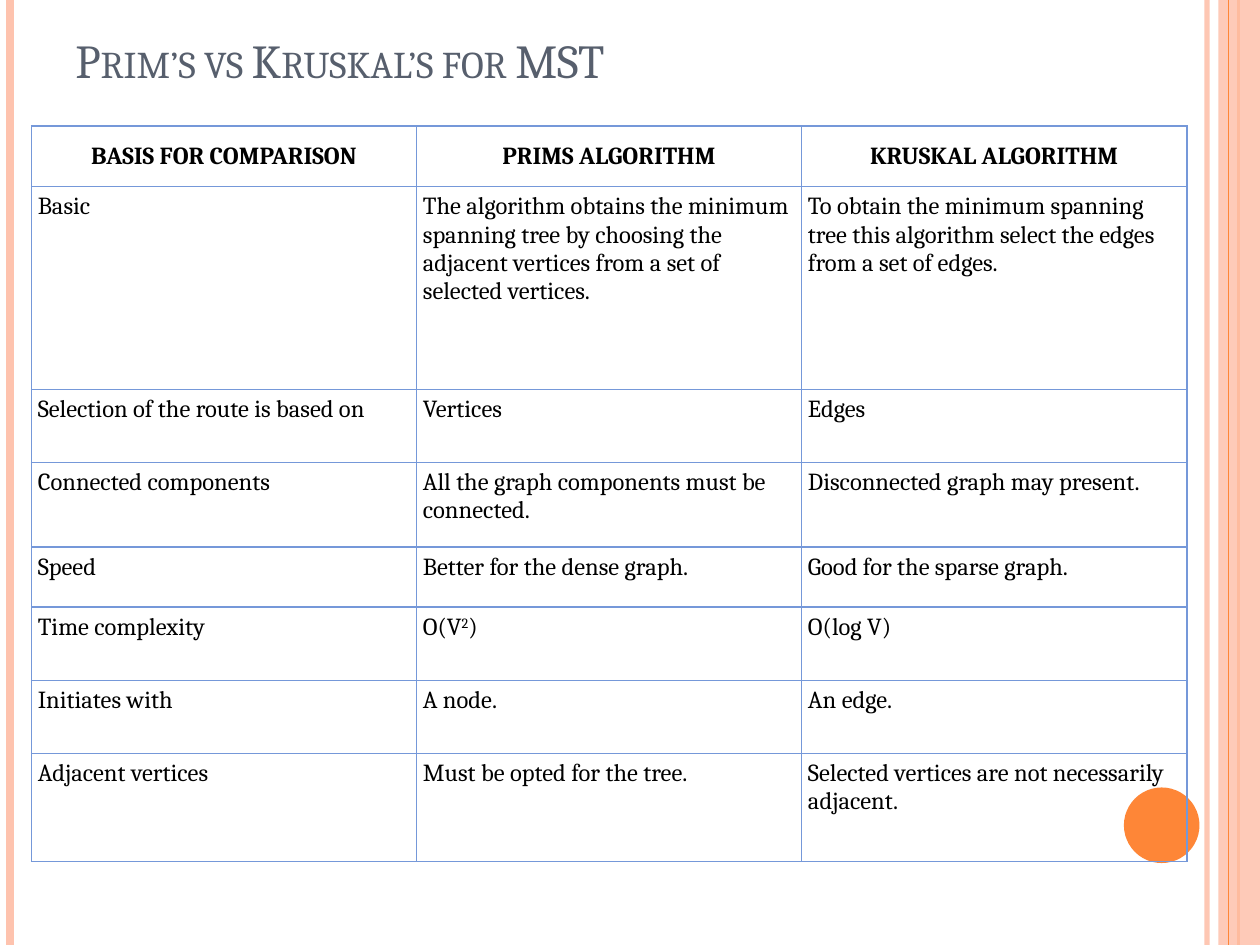
import pptx
import pptx.util
import pptx.dml.color
import pptx.enum.shapes
import pptx.enum.text
import pptx.oxml.ns
from lxml import etree

Inches, Pt = pptx.util.Inches, pptx.util.Pt
SHAPE = pptx.enum.shapes.MSO_SHAPE
ANCHOR = pptx.enum.text.MSO_ANCHOR
qn = pptx.oxml.ns.qn

# Content
TITLE = "Prim’s vs Kruskal’s for MST"
HEADER = ("BASIS FOR COMPARISON", "PRIMS ALGORITHM", "KRUSKAL ALGORITHM")
ROWS = [
    ("Basic",
     "The algorithm obtains the minimum spanning tree by choosing the adjacent "
     "vertices from a set of selected vertices.",
     "To obtain the minimum spanning tree this algorithm select the edges "
     "from a set of edges."),
    ("Selection of the route is based on", "Vertices", "Edges"),
    ("Connected components", "All the graph components must be connected.",
     "Disconnected graph may present."),
    ("Speed", "Better for the dense graph.", "Good for the sparse graph."),
    ("Time complexity", "O(V^2^)", "O(log V)"),  # ^...^ marks a superscript
    ("Initiates with", "A node.", "An edge."),
    ("Adjacent vertices", "Must be opted for the tree.",
     "Selected vertices are not necessarily adjacent."),
]
ROW_HEIGHTS = (0.48, 1.61, 0.58, 0.67, 0.48, 0.58, 0.58, 0.86)
TABLE_LEFT, TABLE_TOP, TABLE_WIDTH = 0.25, 1, 9.17
FONT = "Cambria"
COLORS = {"peach": "FEC3AE", "orange": "FE8637", "title": "575F6D",
          "text": "000000", "border": "7598D9"}

deck = pptx.Presentation()
deck.slide_width, deck.slide_height = Inches(10), Inches(7.5)
page = deck.slides.add_slide(deck.slide_layouts[6])


def rgb(name):
    return pptx.dml.color.RGBColor.from_string(COLORS[name])


def set_alpha(fill_owner, percent):
    color = fill_owner.find(qn("a:solidFill"))[0]
    etree.SubElement(color, qn("a:alpha")).set("val", str(percent * 1000))


def add_rule(x, color, width, alpha=100):
    rule = page.shapes.add_connector(
        pptx.enum.shapes.MSO_CONNECTOR.STRAIGHT,
        Inches(x), 0, Inches(x), deck.slide_height)
    rule.line.color.rgb = rgb(color)
    rule.line.width = Pt(width)
    properties = rule._element.spPr
    if alpha < 100:
        set_alpha(properties.find(qn("a:ln")), alpha)
    etree.SubElement(properties, qn("a:effectLst"))


def add_plain(kind, left, top, width, height, color, alpha=100):
    shape = page.shapes.add_shape(
        kind, Inches(left), Inches(top), Inches(width), Inches(height))
    shape.shadow.inherit = False
    shape.fill.solid()
    shape.fill.fore_color.rgb = rgb(color)
    shape.line.fill.background()
    if alpha < 100:
        set_alpha(shape._element.spPr, alpha)


def set_font(font, size, color, bold=False):
    font.name, font.size, font.bold = FONT, Pt(size), bold
    font.color.rgb = rgb(color)


def add_borders(cell):
    properties = cell._tc.get_or_add_tcPr()
    for place, side in enumerate(("lnL", "lnR", "lnT", "lnB")):
        line = etree.Element(qn("a:" + side), w=str(Pt(1)))
        fill = etree.SubElement(line, qn("a:solidFill"))
        etree.SubElement(fill, qn("a:srgbClr")).set("val", COLORS["border"])
        properties.insert(place, line)


# Side stripes and circle
add_rule(9.58, "peach", 3, alpha=93)
add_rule(0.08, "peach", 4.5)
add_rule(9.83, "orange", 1.5)
add_plain(SHAPE.RECTANGLE, 9.67, 0, 0.33, 7.5, "peach", alpha=87)
add_rule(9.75, "orange", 0.75)
add_plain(SHAPE.OVAL, 8.92, 6.25, 0.6, 0.6, "orange")

# Title in small capitals
box = page.shapes.add_textbox(Inches(0.5), Inches(0.3), Inches(8.17), Inches(0.45))
box.text_frame.word_wrap = True
box.text_frame.vertical_anchor = ANCHOR.BOTTOM
span = box.text_frame.paragraphs[0].add_run()
span.text = TITLE
set_font(span.font, 27, "title")
span._r.get_or_add_rPr().set("cap", "small")

# Comparison table
frame = page.shapes.add_table(
    len(ROWS) + 1, len(HEADER), Inches(TABLE_LEFT), Inches(TABLE_TOP),
    Inches(TABLE_WIDTH), Inches(sum(ROW_HEIGHTS)))
table = frame.table
table.horz_banding = table.first_row = False
for column in table.columns:
    column.width = Inches(TABLE_WIDTH / len(HEADER))
for row, height in zip(table.rows, ROW_HEIGHTS):
    row.height = Inches(height)

for r, texts in enumerate([HEADER] + ROWS):
    for c, text in enumerate(texts):
        cell = table.cell(r, c)
        cell.fill.background()
        add_borders(cell)
        cell.margin_left = cell.margin_right = Inches(0.05)
        cell.margin_top = cell.margin_bottom = Inches(0.05)
        cell.vertical_anchor = ANCHOR.MIDDLE if r == 0 else ANCHOR.TOP
        para = cell.text_frame.paragraphs[0]
        if r == 0:
            para.alignment = pptx.enum.text.PP_ALIGN.CENTER
        set_font(para.font, 14, "text", bold=r == 0)
        for part, piece in enumerate(text.split("^")):
            span = para.add_run()
            span.text = piece
            if part % 2:
                span._r.get_or_add_rPr().set("baseline", "30000")

deck.save("out.pptx")
